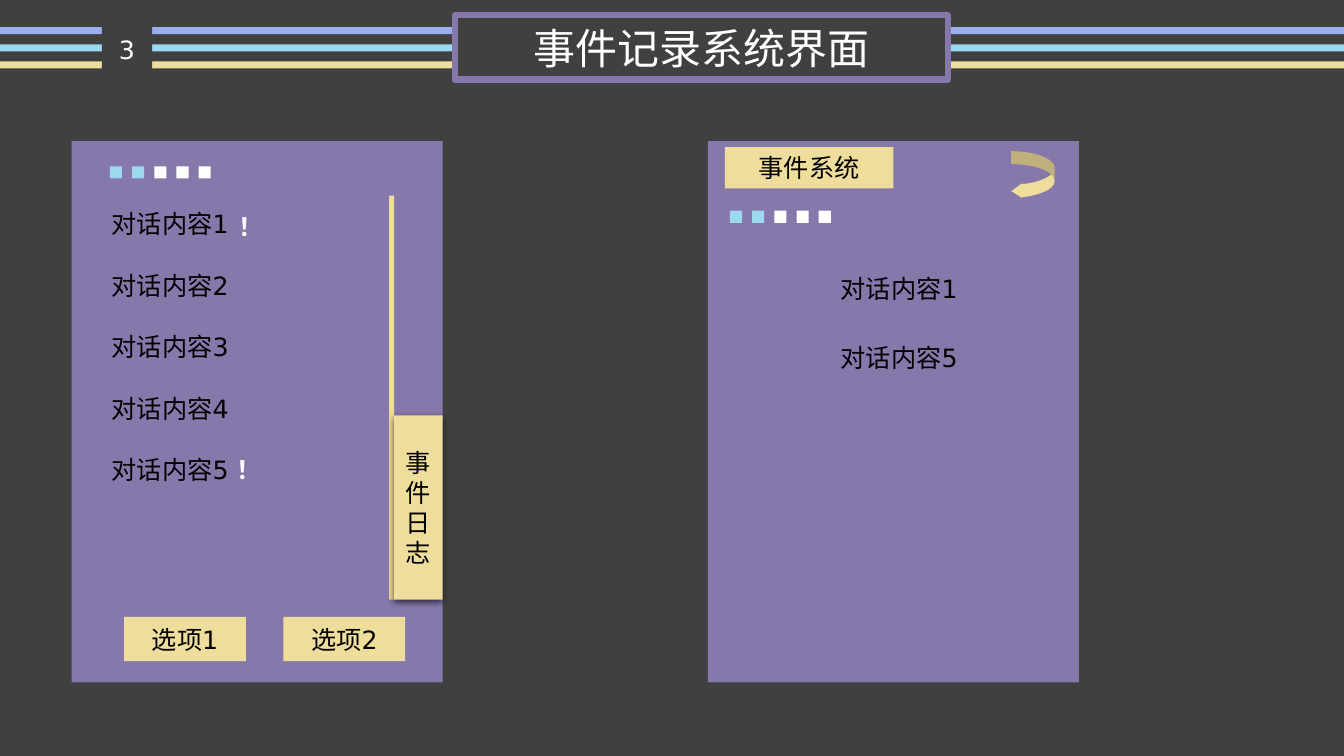
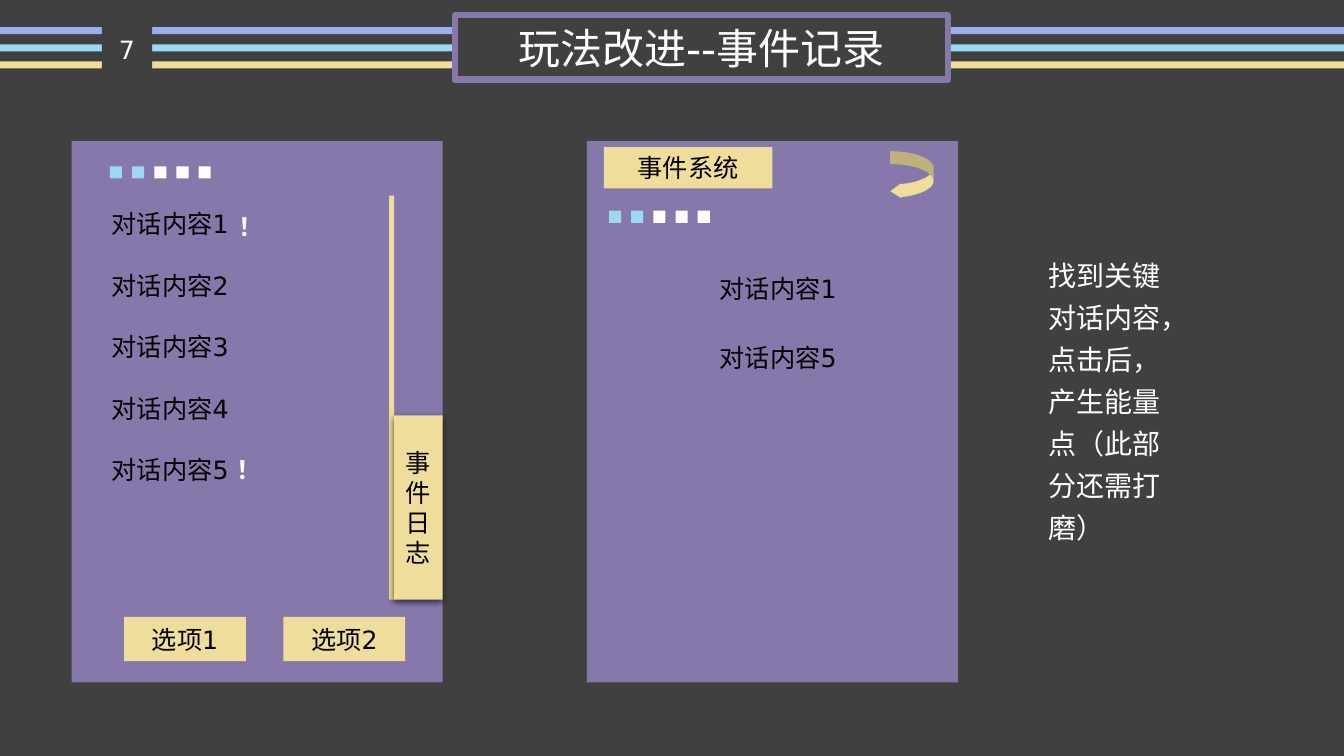
from dataclasses import dataclass
from typing import NamedTuple, Optional

from lxml import etree
from pptx import Presentation
from pptx.dml.color import RGBColor
from pptx.enum.shapes import MSO_SHAPE
from pptx.enum.text import MSO_ANCHOR, MSO_AUTO_SIZE, PP_ALIGN
from pptx.oxml.ns import qn
from pptx.shapes.autoshape import Shape
from pptx.slide import Slide
from pptx.util import Inches, Pt

RECTANGLE = MSO_SHAPE.RECTANGLE
CURVED_ARROW = MSO_SHAPE.CURVED_LEFT_ARROW
MIDDLE = MSO_ANCHOR.MIDDLE
GROW = MSO_AUTO_SIZE.SHAPE_TO_FIT_TEXT
CENTER = PP_ALIGN.CENTER
LEFT = PP_ALIGN.LEFT


@dataclass(frozen=True)
class Theme:
    background: str = "404040"
    purple: str = "8678AB"
    periwinkle: str = "9CAEF0"
    sky: str = "9CD8F0"
    sand: str = "EFDD9C"
    white: str = "FFFFFF"
    black: str = "000000"
    font: str = "DejaVu Sans"
    title_size: int = 30
    note_size: int = 20
    body_size: int = 18


class Box(NamedTuple):
    left: float
    top: float
    width: float
    height: float


@dataclass(frozen=True)
class TextStyle:
    size: int
    color: str
    align: PP_ALIGN = LEFT
    bold: bool = False
    line_points: Optional[int] = None


@dataclass(frozen=True)
class EventSlide:
    number: str
    title: str
    log_left: float
    note: str = ""


THEME = Theme()
TITLE = TextStyle(THEME.title_size, THEME.white, CENTER)
NUMBER = TextStyle(THEME.body_size, THEME.white, CENTER)
BUTTON = TextStyle(THEME.body_size, THEME.black, CENTER)
DIALOGUE = TextStyle(THEME.body_size, THEME.black)
MARK = TextStyle(THEME.body_size, THEME.white, bold=True)
NOTE = TextStyle(THEME.note_size, THEME.white, line_points=30)

SLIDE_WIDTH, SLIDE_HEIGHT = 13.33, 7.5
TITLE_BOX = Box(4.51, 0.15, 4.89, 0.64)
NUMBER_BOX = Box(1.01, 0.27, 0.5, 0.44)
NOTE_BOX = Box(10.3, 2.43, 1.57, 3.05)
BAND_COLORS = (THEME.periwinkle, THEME.sky, THEME.sand)
BAND_TOP, BAND_STEP, BAND_HEIGHT = 0.27, 0.17, 0.07
PANEL_TOP, PANEL_WIDTH, PANEL_HEIGHT = 1.4, 3.68, 5.37
DIALOGUE_PANEL_LEFT = 0.71
DOT_COLORS = (THEME.sky,) * 2 + (THEME.white,) * 3
DOT_STEP, DOT_SIZE = 0.22, 0.12
DIALOGUE_STEP, LOG_STEP = 0.61, 0.69

SLIDES = (
    EventSlide("3", "事件记录系统界面", 7.02),
    EventSlide("7", "玩法改进--事件记录", 5.82,
               "找到关键对话内容，点击后，产生能量点（此部分还需打磨）"),
)


def lengths(box: Box) -> list[int]:
    return [Inches(value) for value in box]


def write_text(shape: Shape, text: str, style: TextStyle) -> None:
    shape.text_frame.word_wrap = True
    paragraph = shape.text_frame.paragraphs[0]
    paragraph.alignment = style.align
    if style.line_points:
        paragraph.line_spacing = Pt(style.line_points)
    run = paragraph.add_run()
    run.text = text
    font_values = {"name": THEME.font, "size": Pt(style.size), "bold": style.bold}
    for name, value in font_values.items():
        setattr(run.font, name, value)
    run.font.color.rgb = RGBColor.from_string(style.color)


def add_block(slide: Slide, box: Box, fill: Optional[str], text: str = "",
              style: TextStyle = BUTTON, kind: MSO_SHAPE = RECTANGLE) -> Shape:
    """Add a borderless preset shape, with centred text if any is given."""
    shape = slide.shapes.add_shape(kind, *lengths(box))
    shape.shadow.inherit = False
    shape.line.fill.background()
    if fill:
        shape.fill.solid()
        shape.fill.fore_color.rgb = RGBColor.from_string(fill)
    else:
        shape.fill.background()
    if text:
        shape.text_frame.vertical_anchor = MIDDLE
        write_text(shape, text, style)
    return shape


def add_label(slide: Slide, box: Box, text: str, style: TextStyle) -> None:
    label = slide.shapes.add_textbox(*lengths(box))
    write_text(label, text, style)
    label.text_frame.auto_size = GROW


def add_drop_shadow(shape: Shape) -> None:
    effects = shape.element.spPr.find(qn("a:effectLst"))
    values = {"blurRad": Pt(4.5), "dist": Pt(1.5), "dir": 90 * 60000,
              "algn": "t", "rotWithShape": 0}
    shadow = etree.SubElement(effects, qn("a:outerShdw"),
                              {name: str(value) for name, value in values.items()})
    color = etree.SubElement(shadow, qn("a:srgbClr"), val=THEME.black)
    etree.SubElement(color, qn("a:alpha"), val="63000")


def add_header(slide: Slide, content: EventSlide) -> None:
    right_start = TITLE_BOX.left + TITLE_BOX.width
    for left, right in ((0, TITLE_BOX.left), (right_start, SLIDE_WIDTH)):
        for index, color in enumerate(BAND_COLORS):
            top = BAND_TOP + index * BAND_STEP
            add_block(slide, Box(left, top, right - left, BAND_HEIGHT), color)
    title = add_block(slide, TITLE_BOX, None, content.title, TITLE)
    title.line.color.rgb = RGBColor.from_string(THEME.purple)
    title.line.width = Pt(4.5)
    add_block(slide, NUMBER_BOX, THEME.background, content.number, NUMBER)


def add_panel(slide: Slide, left: float) -> None:
    add_block(slide, Box(left, PANEL_TOP, PANEL_WIDTH, PANEL_HEIGHT), THEME.purple)


def add_energy_dots(slide: Slide, left: float, top: float) -> None:
    for index, color in enumerate(DOT_COLORS):
        add_block(slide, Box(left + index * DOT_STEP, top, DOT_SIZE, DOT_SIZE), color)


def add_dialogues(slide: Slide, left: float, top: float, step: float,
                  numbers: tuple[int, ...]) -> None:
    for index, number in enumerate(numbers):
        box = Box(left, top + index * step, 2, 0.4)
        add_label(slide, box, f"对话内容{number}", DIALOGUE)


def add_dialogue_panel(slide: Slide) -> None:
    add_panel(slide, DIALOGUE_PANEL_LEFT)
    add_energy_dots(slide, 1.09, 1.65)
    add_dialogues(slide, 1.01, 2.02, DIALOGUE_STEP, (1, 2, 3, 4, 5))
    for left, top in ((2.27, 2.05), (2.25, 4.46)):
        add_label(slide, Box(left, top, 0.79, 0.4), "！", MARK)
    for left, text in ((1.23, "选项1"), (2.81, "选项2")):
        add_block(slide, Box(left, 6.12, 1.21, 0.44), THEME.sand, text)
    add_block(slide, Box(3.86, 1.94, 0.05, 4.01), THEME.sand)
    log_tab = add_block(slide, Box(3.91, 4.12, 0.48, 1.83), THEME.sand, "事件日志")
    add_drop_shadow(log_tab)


def add_log_panel(slide: Slide, left: float) -> None:
    add_panel(slide, left)
    add_energy_dots(slide, left + 0.22, 2.09)
    add_dialogues(slide, left + 1.22, 2.66, LOG_STEP, (1, 5))
    add_block(slide, Box(left + 0.17, 1.46, 1.67, 0.41), THEME.sand, "事件系统")
    back_arrow = add_block(slide, Box(left + 3.01, 1.5, 0.43, 0.47), THEME.sand,
                           kind=CURVED_ARROW)
    for index, value in enumerate((0.3, 0.34, 0.25)):
        back_arrow.adjustments[index] = value


def main() -> None:
    presentation = Presentation()
    presentation.slide_width = Inches(SLIDE_WIDTH)
    presentation.slide_height = Inches(SLIDE_HEIGHT)
    blank_layout = presentation.slide_layouts[6]
    for content in SLIDES:
        slide = presentation.slides.add_slide(blank_layout)
        slide.background.fill.solid()
        slide.background.fill.fore_color.rgb = RGBColor.from_string(THEME.background)
        add_header(slide, content)
        add_dialogue_panel(slide)
        add_log_panel(slide, content.log_left)
        if content.note:
            add_label(slide, NOTE_BOX, content.note, NOTE)
    presentation.save("out.pptx")


if __name__ == "__main__":
    main()
